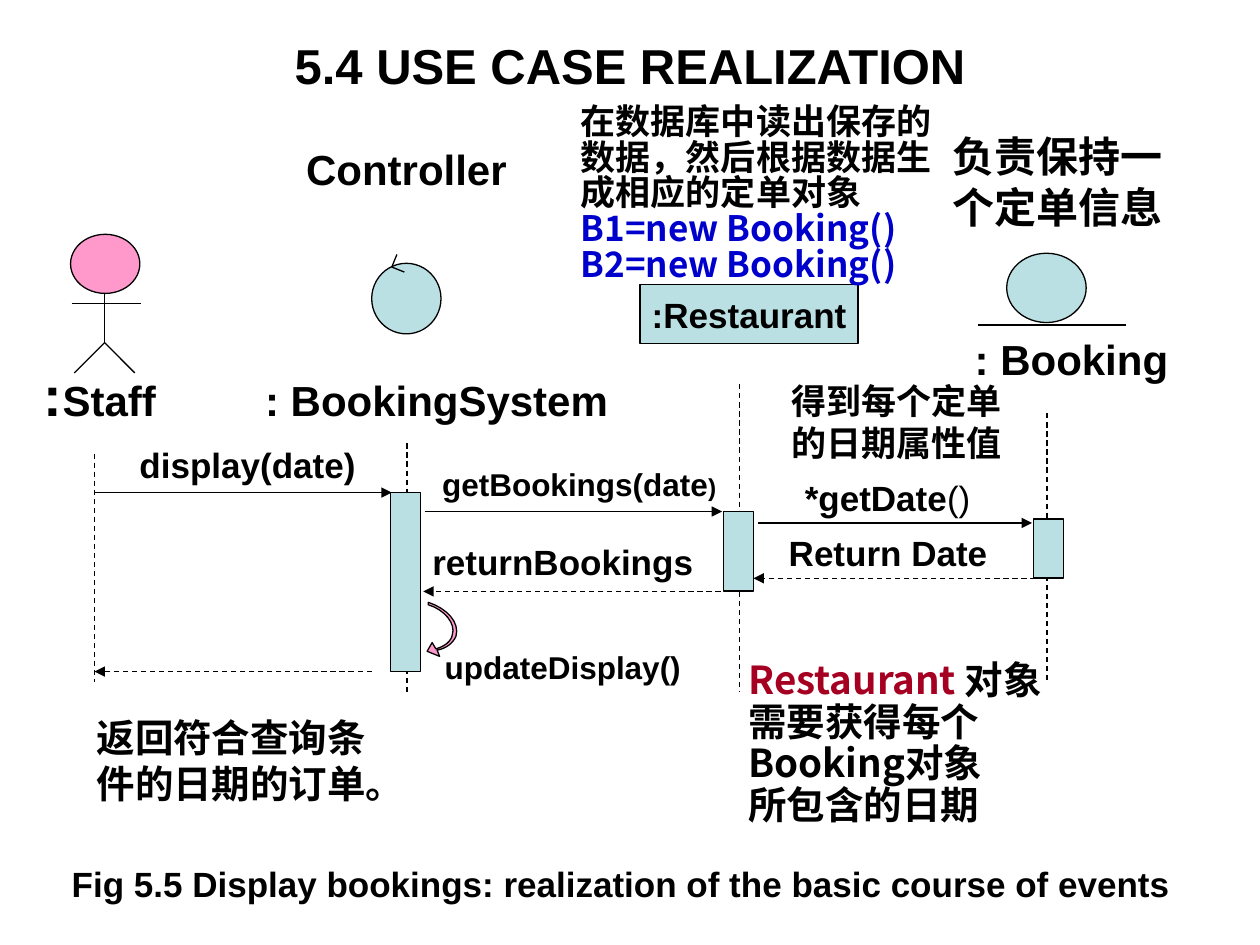
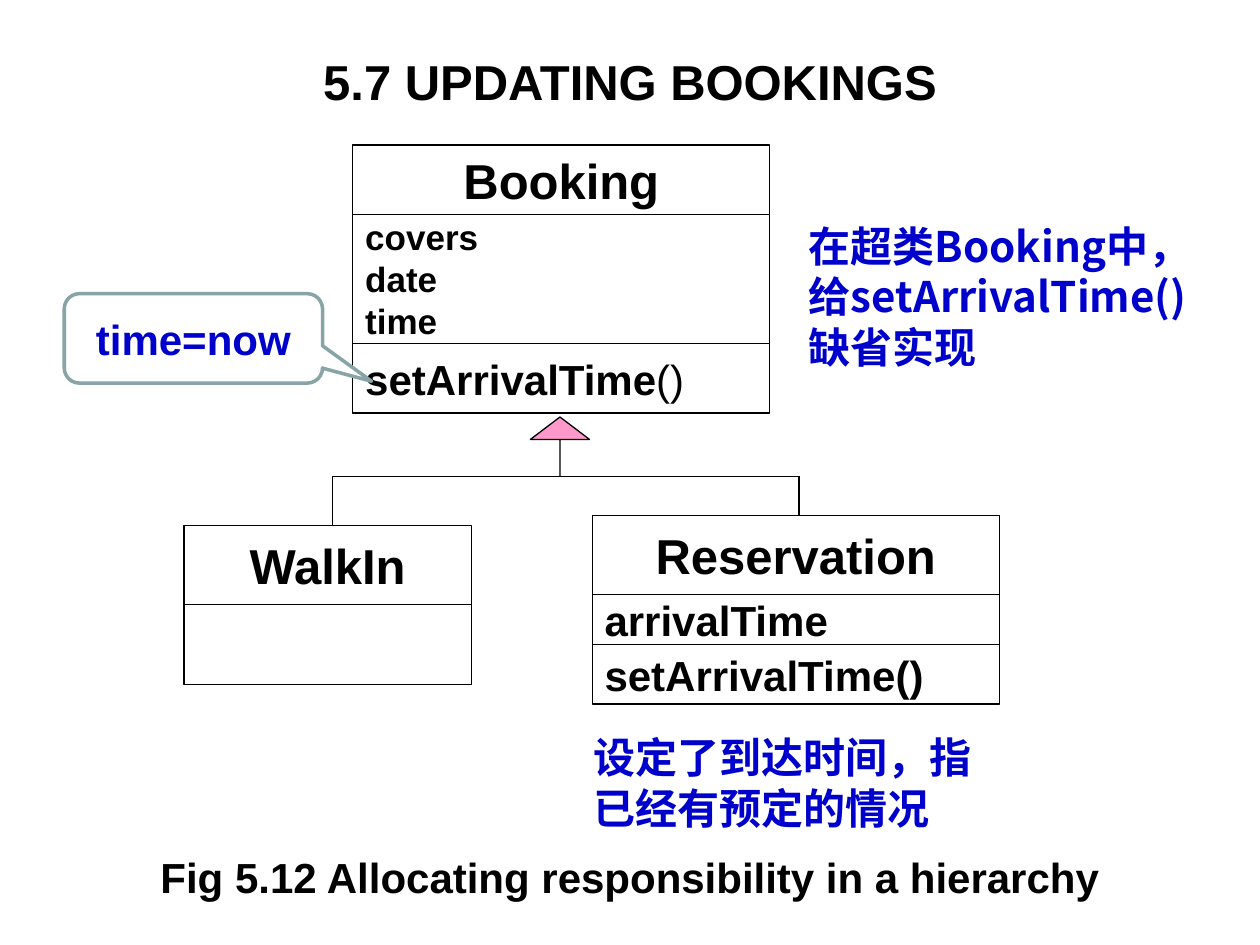
from lxml.etree import SubElement
from pptx import Presentation
from pptx.dml.color import RGBColor
from pptx.enum.dml import MSO_LINE
from pptx.enum.shapes import MSO_CONNECTOR, MSO_SHAPE as SHAPE
from pptx.enum.text import MSO_ANCHOR as ANCHOR, MSO_AUTO_SIZE, PP_ALIGN as ALIGN
from pptx.oxml.ns import qn
from pptx.util import Pt

BLACK, WHITE, BLUE, RED = "000000", "FFFFFF", "0000CC", "A50021"
AQUA, PINK, SLATE = "BBE0E3", "FF99CC", "89A4A7"
LATIN_FONT, CHINESE_FONT = "Arial", "Noto Sans CJK SC"
LEFT, CENTER = ALIGN.LEFT, ALIGN.CENTER
SPAN_SIZES = {":": 32, ")": 14}
SPAN_COLOURS = {"B1=new Booking()": BLUE, "B2=new Booking()": BLUE, "Restaurant ": RED}
colour_of = RGBColor.from_string


def write(box, text, size, align=LEFT, colour=BLACK, wrap=True, padded=True, spacing=1.0):
    frame = box.text_frame
    frame.auto_size = MSO_AUTO_SIZE.NONE
    frame.word_wrap = wrap
    frame.margin_left = frame.margin_right = Pt(7.2 if padded else 0)
    frame.margin_top = frame.margin_bottom = Pt(3.6 if padded else 0)
    frame.text = text.replace("|", "")
    for para, line in zip(frame.paragraphs, text.split("\n")):
        para.text = ""
        para.alignment = align
        para.space_before = Pt(0)
        para.line_spacing = spacing
        for part in line.split("|"):
            span = para.add_run()
            span.text = part
            span.font.size = Pt(SPAN_SIZES.get(part, size))
            span.font.bold = part != "()"
            span.font.color.rgb = colour_of(SPAN_COLOURS.get(part, colour))
            span.font.name = LATIN_FONT if text.isascii() else CHINESE_FONT
            SubElement(span.font._element, qn("a:ea"), typeface=CHINESE_FONT)


def draw_line(page, x1, y1, x2, y2, dashed=False, arrow=False):
    link = page.shapes.add_connector(
        MSO_CONNECTOR.STRAIGHT, Pt(x1), Pt(y1), Pt(x2), Pt(y2))
    link.line.color.rgb = colour_of(BLACK)
    link.line.width = Pt(0.75)
    if dashed:
        link.line.dash_style = MSO_LINE.DASH
    properties = link.element.spPr
    if arrow:
        SubElement(properties.find(qn("a:ln")), qn("a:tailEnd"), type="triangle")
    SubElement(properties, qn("a:effectLst"))


deck = Presentation()
deck.slide_width, deck.slide_height = Pt(720), Pt(540)

pages = []
for title, title_area, caption, caption_area, caption_size, caption_spacing in [
    ("5.4 USE CASE REALIZATION", (36, 20.2, 648, 33.8),
     "Fig 5.5 Display bookings: realization of the basic course of events",
     (31, 494, 648, 31), 20, 0.8),
    ("5.7 UPDATING BOOKINGS", (36, 21.6, 648, 49.7),
     "Fig 5.12 Allocating responsibility in a hierarchy",
     (36, 483, 648, 42.5), 24, 1.0),
]:
    page = deck.slides.add_slide(deck.slide_layouts[1])
    heading, body = page.placeholders
    for holder, area in [(heading, title_area), (body, caption_area)]:
        holder.left, holder.top, holder.width, holder.height = map(Pt, area)
    write(heading, title, 28, CENTER)
    heading.text_frame.vertical_anchor = ANCHOR.MIDDLE
    write(body, caption, caption_size, CENTER, spacing=caption_spacing)
    body.text_frame.vertical_anchor = ANCHOR.TOP
    settings = body.text_frame.paragraphs[0]._p.get_or_add_pPr()
    settings.set("marL", "0")
    settings.set("indent", "0")
    SubElement(settings, qn("a:buNone"))
    pages.append(page)
sequence, hierarchy = pages

for x, top, bottom in [(54, 259.2, 389.5), (232.6, 253.4, 395.3),
                       (422.6, 219.6, 395.3), (598.3, 236.2, 389.5)]:
    draw_line(sequence, x, top, x, bottom, dashed=True)

for start, end, y in [(54, 223.9, 281.5), (242.6, 412.6, 292.3), (433.4, 589.7, 298.8),
                      (212.4, 54, 383.8), (411.8, 241.9, 338), (591.8, 430.6, 330.5)]:
    draw_line(sequence, start, y, end, y, dashed=end < start, arrow=True)

staff_limbs = [(59.8, 167.8, 59.8, 195.8), (59.8, 195.8, 42.5, 213.1),
               (59.8, 195.8, 77, 213.1), (41, 173.5, 80.6, 173.5)]
entity_base = (558.7, 185.8, 643.7, 185.8)
for ends in staff_limbs + [entity_base]:
    draw_line(sequence, *ends)

draw_line(hierarchy, 190.1, 272.2, 456.5, 272.2)
for x, bottom in [(190.1, 300.2), (456.5, 294.5)]:
    draw_line(hierarchy, x, 272.2, x, bottom)

for page, kind, area, fill, text, size, align in [
    (sequence, SHAPE.OVAL, (40.3, 133.9, 39.6, 33.8), PINK, "", 0, CENTER),
    (sequence, SHAPE.OVAL, (212.4, 150.5, 39.6, 40.3), AQUA, "", 0, CENTER),
    (sequence, SHAPE.OVAL, (575.3, 144.7, 45.4, 39.6), AQUA, "", 0, CENTER),
    (sequence, SHAPE.RECTANGLE, (365.8, 162.7, 124.6, 33.8), AQUA, ":Restaurant", 20, CENTER),
    (sequence, SHAPE.RECTANGLE, (223.2, 281.5, 17.3, 102.2), AQUA, "", 0, CENTER),
    (sequence, SHAPE.RECTANGLE, (413.3, 292.3, 17.3, 45.4), AQUA, "", 0, CENTER),
    (sequence, SHAPE.RECTANGLE, (590.4, 296.6, 17.3, 33.8), AQUA, "", 0, CENTER),
    (hierarchy, SHAPE.RECTANGLE, (201.6, 82.8, 238.3, 39.6), WHITE, "Booking", 28, CENTER),
    (hierarchy, SHAPE.RECTANGLE, (201.6, 122.4, 238.3, 74), WHITE, "covers\ndate\ntime", 20, LEFT),
    (hierarchy, SHAPE.RECTANGLE, (201.6, 196.4, 238.3, 39.6), WHITE, "setArrivalTime|()", 24, LEFT),
    (hierarchy, SHAPE.RECTANGLE, (338.4, 294.5, 232.6, 45.4), WHITE, "Reservation", 28, CENTER),
    (hierarchy, SHAPE.RECTANGLE, (338.4, 339.9, 232.6, 28.5), WHITE, "arrivalTime", 24, LEFT),
    (hierarchy, SHAPE.RECTANGLE, (338.4, 368.4, 232.6, 34), WHITE, "setArrivalTime()", 24, LEFT),
    (hierarchy, SHAPE.RECTANGLE, (105.1, 300.2, 164.2, 45.4), WHITE, "WalkIn", 28, CENTER),
    (hierarchy, SHAPE.RECTANGLE, (105.1, 345.6, 164.2, 45.4), WHITE, "", 0, CENTER),
    (hierarchy, SHAPE.UP_ARROW, (303.1, 238.3, 33.8, 33.8), PINK, "", 0, CENTER),
    (hierarchy, SHAPE.ROUNDED_RECTANGULAR_CALLOUT, (36.7, 167.8, 147.6, 51.1), WHITE,
     "time=now", 24, CENTER),
]:
    box = page.shapes.add_shape(kind, *map(Pt, area))
    box.shadow.inherit = False
    box.fill.solid()
    box.fill.fore_color.rgb = colour_of(fill)
    is_callout = kind == SHAPE.ROUNDED_RECTANGULAR_CALLOUT
    box.line.color.rgb = colour_of(SLATE if is_callout else BLACK)
    box.line.width = Pt(2 if is_callout else 0.75)
    if is_callout:
        tweaks = (0.69, 0.48, 0.17)
    else:
        tweaks = (0, 0.38) if kind == SHAPE.UP_ARROW else ()
    for index, tweak in enumerate(tweaks):
        box.adjustments[index] = tweak
    if text:
        write(box, text, size, align, BLUE if is_callout else BLACK, wrap=is_callout)
        box.text_frame.vertical_anchor = ANCHOR.MIDDLE

for ends in [(226.8, 145.4, 223.9, 152.6), (223.9, 152.6, 231.1, 155.5)]:
    draw_line(sequence, *ends)

inner_edge = [(249.1, 370.8), (254.2, 369.4), (257.8, 366.5), (258.5, 362.9),
              (260.6, 356.4), (254.2, 348.5), (244.8, 345.6)]
outer_edge = [(244.8, 344.2), (255.6, 347.8), (262.8, 355.7), (260.6, 363.6),
              (259.2, 367.2), (254.9, 370.8), (249.8, 371.5)]
arrow_tip = [(251.3, 375.1), (244.1, 372.2), (247, 367.2)]
outline = []
for edge in (inner_edge, outer_edge):
    for first in (0, 3):
        for step in range(9):
            t = step / 8
            weights = ((1 - t) ** 3, 3 * t * (1 - t) ** 2, 3 * t * t * (1 - t), t ** 3)
            controls = edge[first:first + 4]
            outline.append(tuple(
                sum(weight * point[axis] for weight, point in zip(weights, controls))
                for axis in (0, 1)))
outline = [(Pt(x), Pt(y)) for x, y in outline + arrow_tip]
builder = sequence.shapes.build_freeform(*outline[0])
builder.add_line_segments(outline[1:], close=True)
self_call = builder.convert_to_shape()
self_call.shadow.inherit = False
self_call.fill.solid()
self_call.fill.fore_color.rgb = colour_of(PINK)
self_call.line.color.rgb = colour_of(BLACK)
self_call.line.width = Pt(0.75)

for page, area, text, size, style in [
    (sequence, (133.2, 213.8, 232.6, 28.8), ": BookingSystem", 24,
     dict(align=CENTER, padded=False)),
    (sequence, (541.4, 190.8, 141.8, 28.8), ": Booking", 24, dict(align=CENTER, padded=False)),
    (sequence, (18, 202.3, 78.5, 46.1), ":|Staff", 24, dict(wrap=False)),
    (sequence, (167.8, 78.5, 128.9, 36), "Controller", 24, dict(wrap=False)),
    (sequence, (70.6, 253.4, 141.8, 23.8), "display(date)", 20, dict(align=CENTER, padded=False)),
    (sequence, (252.7, 265.7, 158.4, 21.6), "getBookings(date|)", 18, dict(padded=False)),
    (sequence, (247, 308.9, 159.1, 23.8), "returnBookings", 20, dict(padded=False)),
    (sequence, (247, 366.5, 164.2, 28.8), "updateDisplay()", 18, {}),
    (sequence, (450.7, 272.2, 113, 23.8), "*getDate|()", 20, dict(align=CENTER, padded=False)),
    (sequence, (450.7, 303.8, 130.3, 23.8), "Return Date", 20, dict(padded=False)),
    (sequence, (331.9, 60.5, 204.5, 102.2),
     "在数据库中读出保存的数据，然后根据数据生成相应的定单对象\nB1=new Booking()\nB2=new Booking()",
     20, dict(padded=False, spacing=0.85)),
    (sequence, (537.1, 71.3, 133.9, 64.8), "负责保持一\n个定单信息", 24, dict(wrap=False)),
    (sequence, (445, 213.1, 141.8, 55.4), "得到每个定单\n的日期属性值", 20, {}),
    (sequence, (427.7, 378, 187.2, 95), "Restaurant |对象需要获得每个Booking对象\n所包含的日期",
     22, dict(padded=False, spacing=0.9)),
    (sequence, (48.2, 404.6, 198.7, 60.5), "返回符合查询条\n件的日期的订单。", 22, {}),
    (hierarchy, (331.9, 414.7, 239, 64.8), "设定了到达时间，指\n已经有预定的情况", 24,
     dict(colour=BLUE)),
    (hierarchy, (462.2, 126, 232.6, 86.4), "在超类Booking中，\n给setArrivalTime()\n缺省实现", 24,
     dict(colour=BLUE, padded=False)),
]:
    write(page.shapes.add_textbox(*map(Pt, area)), text, size, **style)

deck.save("out.pptx")
